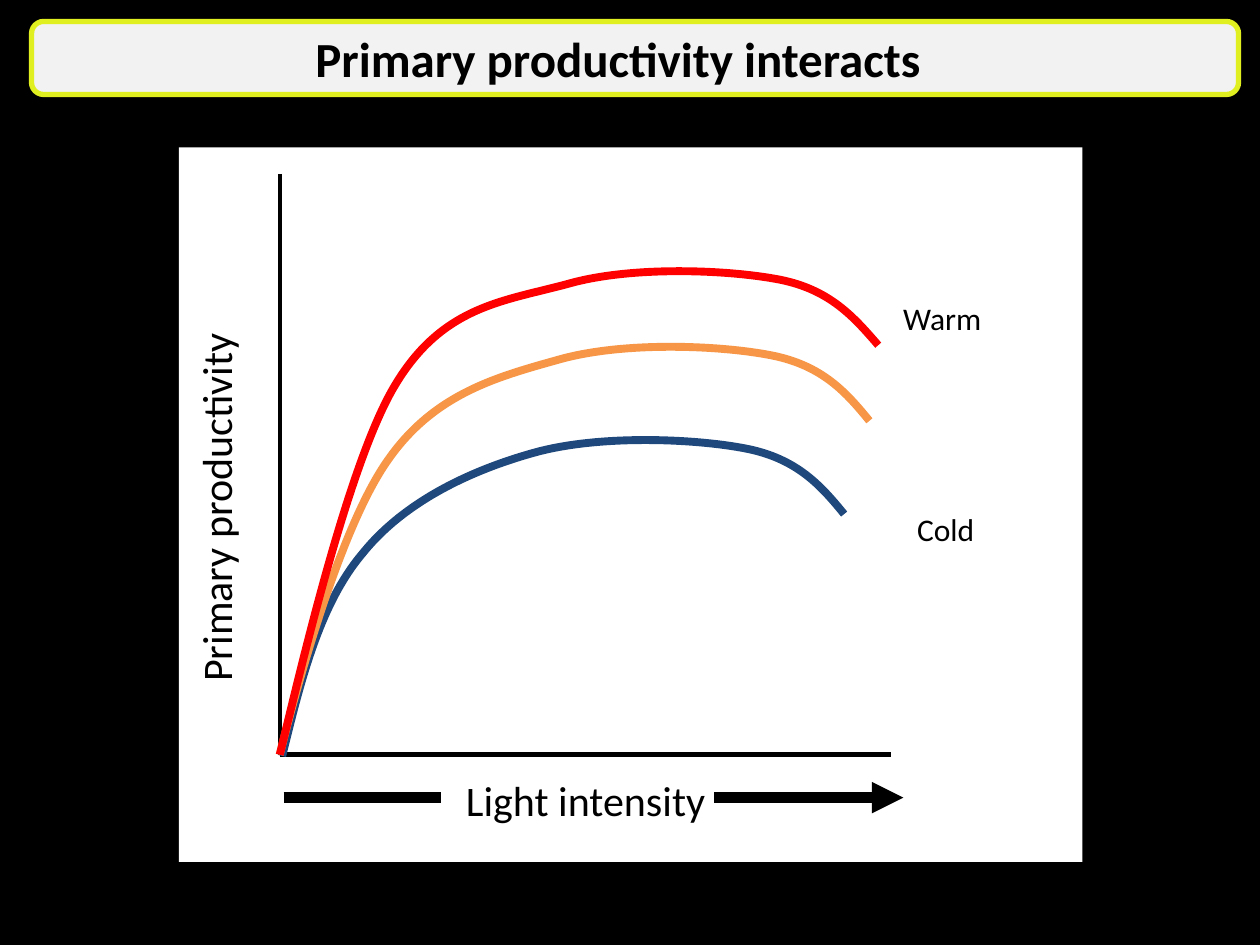
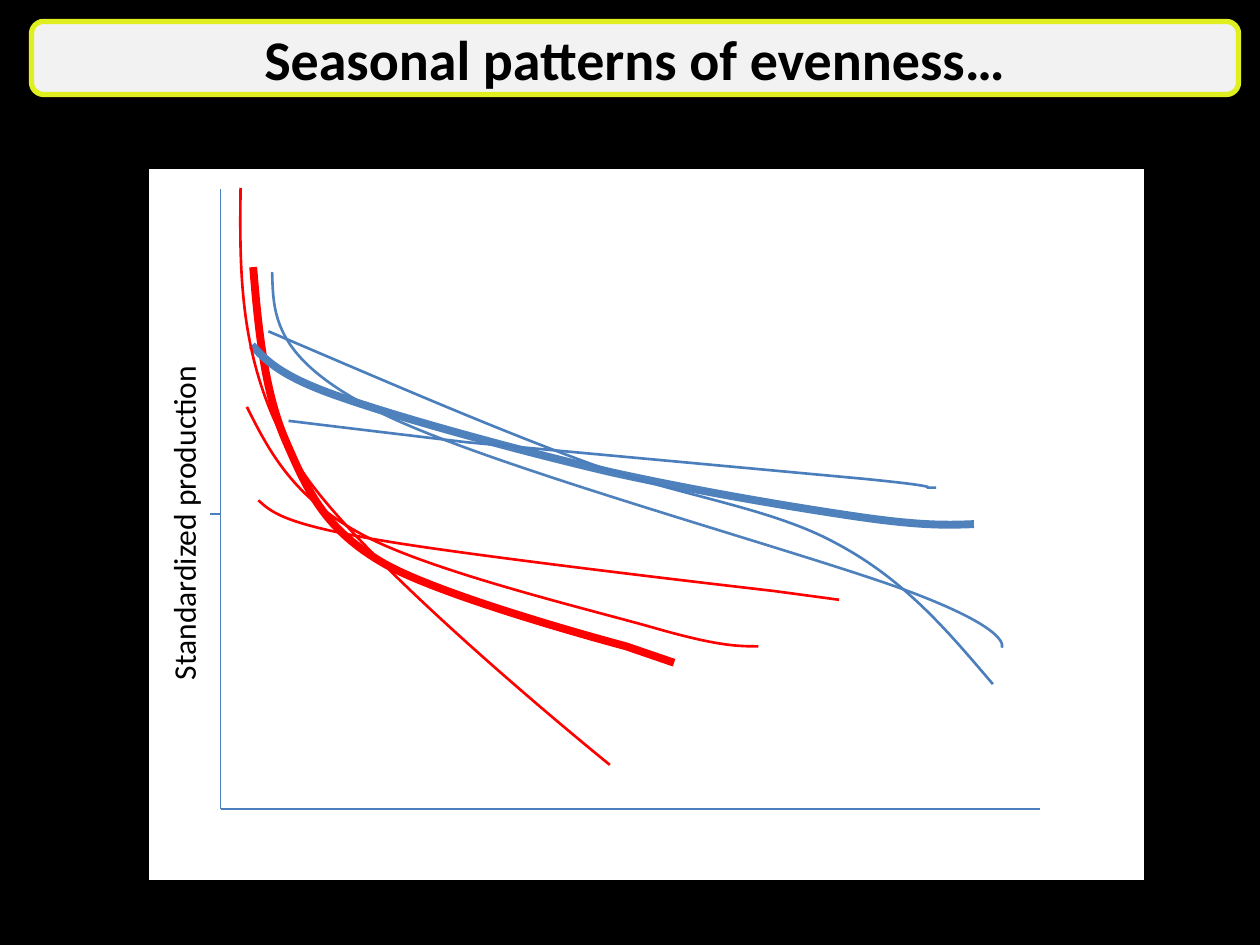
from lxml import etree
from pptx import Presentation
from pptx.dml.color import RGBColor
from pptx.enum.shapes import MSO_CONNECTOR, MSO_SHAPE
from pptx.enum.text import MSO_ANCHOR, PP_ALIGN
from pptx.oxml.ns import qn
from pptx.util import Inches, Pt

STRAIGHT = MSO_CONNECTOR.STRAIGHT
RECTANGLE, ROUNDED = MSO_SHAPE.RECTANGLE, MSO_SHAPE.ROUNDED_RECTANGLE
MIDDLE, CENTER = MSO_ANCHOR.MIDDLE, PP_ALIGN.CENTER

FONT = "Calibri"
BLACK = RGBColor(0x00, 0x00, 0x00)
WHITE = RGBColor(0xFF, 0xFF, 0xFF)
BANNER_GREY = RGBColor(0xF2, 0xF2, 0xF2)
BANNER_LIME = RGBColor(0xE0, 0xEF, 0x1F)
RED = RGBColor(0xFF, 0x00, 0x00)
ORANGE = RGBColor(0xF7, 0x96, 0x46)
NAVY = RGBColor(0x1F, 0x49, 0x7D)
BLUE = RGBColor(0x4F, 0x81, 0xBD)
AXIS_BLUE = RGBColor(0x4B, 0x7E, 0xBC)

BANNER_BOX = (0.25, 0.17, 9.58, 0.58)
LIGHT_BOX = (1.42, 1.17, 7.17, 5.67)
EVENNESS_BOX = (1.17, 1.33, 7.92, 5.67)

# A curve is a start point followed by segments, in inches right of and above
# the axis origin: six numbers make a Bezier segment, two make a straight one.
LIGHT_CURVES = [
    (NAVY, 4.5, [(0.02, -0.01), (0.17, 0.6, 0.32, 1.2, 0.66, 1.6),
                 (0.99, 2.01, 1.52, 2.26, 2.03, 2.4),
                 (2.54, 2.54, 3.29, 2.51, 3.7, 2.43),
                 (4.11, 2.35, 4.3, 2.13, 4.48, 1.91)]),
    (ORANGE, 4.5, [(0, 0), (0.15, 0.6, 0.49, 1.82, 0.86, 2.34),
                   (1.23, 2.87, 1.73, 3, 2.23, 3.14),
                   (2.74, 3.28, 3.49, 3.25, 3.9, 3.17),
                   (4.31, 3.09, 4.5, 2.87, 4.68, 2.65)]),
    (RED, 4.5, [(0, 0), (0.15, 0.6, 0.54, 2.32, 0.92, 2.94),
                (1.3, 3.57, 1.79, 3.6, 2.3, 3.74),
                (2.8, 3.88, 3.56, 3.85, 3.97, 3.77),
                (4.37, 3.69, 4.56, 3.47, 4.75, 3.25)]),
]
EVENNESS_CURVES = [
    (RED, 4.5, [(0.26, 4.3), (0.3, 3.81, 0.35, 3.32, 0.51, 2.94),
                (0.68, 2.55, 0.81, 2.24, 1.26, 1.97),
                (1.71, 1.69, 3.22, 1.29, 3.22, 1.29), (3.6, 1.16)]),
    (BLUE, 4.5, [(0.25, 3.68), (0.36, 3.56, 0.48, 3.43, 0.95, 3.27),
                 (1.43, 3.1, 2.42, 2.83, 3.11, 2.67),
                 (3.79, 2.52, 4.57, 2.39, 5.05, 2.32),
                 (5.53, 2.25, 5.75, 2.25, 5.98, 2.26)]),
    (BLUE, 1.5, [(0.41, 4.26), (0.42, 3.91, 0.42, 3.57, 1.26, 3.15),
                 (2.11, 2.72, 4.66, 2.03, 5.48, 1.72),
                 (6.3, 1.41, 6.2, 1.28, 6.2, 1.28)]),
    (AXIS_BLUE, 1.5, [(0.38, 3.79), (1.25, 3.42, 2.12, 3.04, 2.88, 2.76),
                      (3.63, 2.48, 4.36, 2.4, 4.9, 2.1),
                      (5.44, 1.81, 5.78, 1.4, 6.13, 0.99)]),
    (AXIS_BLUE, 1.5, [(0.54, 3.08), (0.86, 3.04, 1.95, 2.91, 1.95, 2.91),
                      (5.1, 2.62), (5.71, 2.56, 5.61, 2.55, 5.61, 2.55),
                      (5.68, 2.55)]),
    (RED, 1.5, [(0.16, 4.93), (0.15, 4.2, 0.15, 3.47, 0.63, 2.71),
                (1.12, 1.94, 3.09, 0.35, 3.09, 0.35)]),
    (RED, 1.5, [(0.21, 3.19), (0.39, 2.83, 0.58, 2.47, 1.12, 2.18),
                (1.65, 1.89, 2.9, 1.59, 3.43, 1.44),
                (3.95, 1.29, 4.11, 1.29, 4.27, 1.29)]),
    (RED, 1.5, [(0.3, 2.45), (0.4, 2.36, 0.49, 2.27, 1.17, 2.15),
                (1.85, 2.02, 4.39, 1.73, 4.39, 1.73), (4.91, 1.66)]),
]


def add_span(para, text, size, bold=False):
    span = para.add_run()
    span.text = text
    span.font.name, span.font.size, span.font.bold = FONT, Pt(size), bold
    span.font.color.rgb = BLACK


def add_panel(shapes, kind, box, fill, line=None, width=0):
    panel = shapes.add_shape(kind, *map(Inches, box))
    panel.shadow.inherit = False
    panel.fill.solid()
    panel.fill.fore_color.rgb = fill
    if line is None:
        panel.line.fill.background()
    else:
        panel.line.color.rgb, panel.line.width = line, Pt(width)
    return panel


def add_banner(slide, text, size, right_inset=0.1):
    banner = add_panel(slide.shapes, ROUNDED, BANNER_BOX, BANNER_GREY, BANNER_LIME, 3)
    frame = banner.text_frame
    frame.word_wrap, frame.vertical_anchor = True, MIDDLE
    frame.margin_right = Inches(right_inset)
    frame.paragraphs[0].alignment = CENTER
    add_span(frame.paragraphs[0], text, size, bold=True)


def add_label(shapes, text, size, left, top, width, height, rotation=0):
    label = shapes.add_textbox(*map(Inches, (left, top, width, height)))
    label.rotation = rotation
    label.text_frame.word_wrap = True
    add_span(label.text_frame.paragraphs[0], text, size)


def add_line(shapes, start, end, color, width, arrow=False):
    line = shapes.add_connector(STRAIGHT, *map(Inches, (*start, *end)))
    line.line.color.rgb, line.line.width = color, Pt(width)
    if arrow:
        etree.SubElement(line.line._get_or_add_ln(), qn("a:tailEnd"), type="triangle")
    etree.SubElement(line._element.spPr, qn("a:effectLst"))


def add_curve(shapes, origin, color, width, segments):
    """Lay a freeform through all points, then bend each three-point segment."""
    points = [(Inches(origin[0] + x), Inches(origin[1] - y))
              for segment in segments for x, y in zip(segment[::2], segment[1::2])]
    builder = shapes.build_freeform(*points[0])
    builder.add_line_segments(points[1:], close=False)
    curve = builder.convert_to_shape()
    curve.shadow.inherit = False
    curve.fill.background()
    curve.line.color.rgb, curve.line.width = color, Pt(width)
    steps = iter(curve._element.findall(".//" + qn("a:lnTo")))
    for segment in segments[1:]:
        step = next(steps)
        if len(segment) == 6:
            step.tag = qn("a:cubicBezTo")
            for _ in range(2):
                extra = next(steps)
                step.append(extra[0])
                extra.getparent().remove(extra)


def add_axes(shapes, origin, height, length, color, widths):
    x, y = origin
    add_line(shapes, (x, y - height), origin, color, widths[0])
    add_line(shapes, origin, (x + length, y), color, widths[1])


def draw_light_graph(slide, box):
    left, top = box[:2]
    origin = (left + 0.8, top + 4.82)
    shapes = slide.shapes.add_group_shape().shapes
    add_panel(shapes, RECTANGLE, box, WHITE)
    add_axes(shapes, origin, 4.61, 4.85, BLACK, (2.25, 3))
    for curve in LIGHT_CURVES:
        add_curve(shapes, origin, *curve)
    add_label(shapes, "Primary productivity", 24, left - 1.54, top + 2.15, 3.77, 0.61, 270)
    add_label(shapes, "Light intensity", 24, left + 2.18, top + 4.93, 2.23, 0.5)
    add_label(shapes, "Cold", 18, left + 5.76, top + 2.83, 0.8, 0.51)
    add_label(shapes, "Warm", 18, left + 5.65, top + 1.15, 1, 0.51)
    arrow_y = top + 5.16
    add_line(slide.shapes, (left + 4.25, arrow_y), (left + 5.75, arrow_y), BLACK, 6, arrow=True)
    add_line(slide.shapes, (left + 0.83, arrow_y), (left + 2.08, arrow_y), BLACK, 6)


def draw_evenness_graph(slide, box):
    left, top = box[:2]
    origin = (left + 0.58, top + 5.09)
    shapes = slide.shapes
    add_panel(shapes, RECTANGLE, box, WHITE, BLACK, 2)
    add_axes(shapes, origin, 4.92, 6.5, AXIS_BLUE, (0.75, 0.75))
    tick_y = top + 2.75
    add_line(shapes, (origin[0], tick_y), (origin[0] - 0.08, tick_y), AXIS_BLUE, 0.75)
    add_label(shapes, "Standardized production", 18, left - 1.3, top + 2.38, 3.17, 0.4, 270)
    for curve in EVENNESS_CURVES:
        add_curve(shapes, origin, *curve)


def add_black_slide(deck):
    slide = deck.slides.add_slide(deck.slide_layouts[6])
    slide.background.fill.solid()
    slide.background.fill.fore_color.rgb = BLACK
    return slide


def main():
    deck = Presentation()
    deck.slide_width, deck.slide_height = Inches(10), Inches(7.5)

    slide = add_black_slide(deck)
    draw_light_graph(slide, LIGHT_BOX)
    add_banner(slide, "Primary productivity interacts", 28, right_inset=0.37)

    slide = add_black_slide(deck)
    add_banner(slide, "Seasonal patterns of evenness…", 32)
    draw_evenness_graph(slide, EVENNESS_BOX)

    deck.save("out.pptx")


if __name__ == "__main__":
    main()
